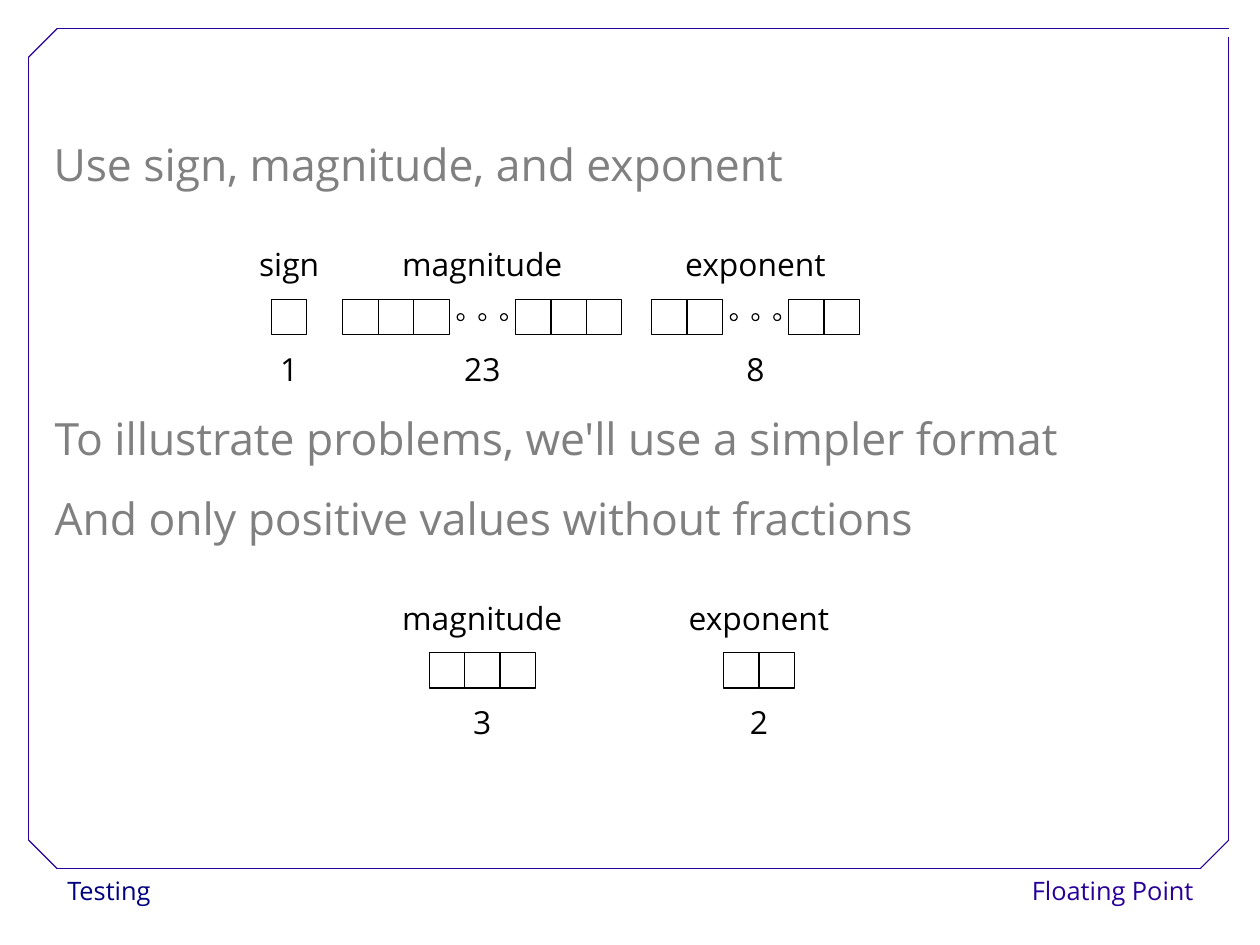
from itertools import pairwise
from pptx import Presentation
from pptx import util as u
from pptx.dml.color import RGBColor
from pptx.enum import shapes, text
from pptx.oxml import parse_xml
from pptx.oxml.ns import nsdecls

FONT, INK, GREY, BLUE, NAVY = "Open Sans", "000000", "808080", "280099", "000080"
WIDE, HIGH = u.Cm(28), u.Cm(21)
CELL, GAP, DOT, STEP = 0.31, 0.58, 0.06, 0.19
EDGE, CUT, RIGHT, BASE = 0.25, 0.5, 10.75, 7.6
LEFT, MID, END = text.PP_ALIGN.LEFT, text.PP_ALIGN.CENTER, text.PP_ALIGN.RIGHT
BOX, RING = shapes.MSO_SHAPE.RECTANGLE, shapes.MSO_SHAPE.OVAL

POINTS = [
    (RIGHT, 0.32), (RIGHT, BASE - EDGE), (RIGHT - EDGE, BASE), (CUT, BASE),
    (EDGE, BASE - EDGE), (EDGE, CUT), (CUT, EDGE), (RIGHT, EDGE),
]
FOOT = [("Testing", 0.49, LEFT, NAVY), ("Floating Point", 8.39, END, BLUE)]
BODY = [
    (0.37, 0.92, 7.7, 0.8, ["Use sign, magnitude, and exponent"]),
    (0.38, 3.31, 10.1, 1.5,
     ["To illustrate problems, we'll use a simpler format",
      "And only positive values without fractions"]),
]
ROWS = [
    (2.62, [("sign", "1", 2.53, [1]),
            ("magnitude", "23", 4.22, [3, 3]),
            ("exponent", "8", 6.61, [2, 2])]),
    (5.71, [("magnitude", "3", 4.22, [3]),
            ("exponent", "2", 6.64, [2])]),
]


def tint(code):
    """Turn a hex string into a colour."""
    return RGBColor.from_string(code)


def write(tree, lines, at, size, color, align, space=1.5):
    """Place a text box with one paragraph for each line."""
    frame = tree.add_textbox(*map(u.Inches, at)).text_frame
    frame.word_wrap = True
    for i, line in enumerate(lines):
        para = frame.add_paragraph() if i else frame.paragraphs[0]
        para.alignment, para.line_spacing = align, space
        run = para.add_run()
        run.text = line
        run.font.name, run.font.size = FONT, u.Pt(size)
        run.font.color.rgb = tint(color)


def outline(tree, kind, x, y, side):
    """Draw an unfilled square or circle."""
    form = tree.add_shape(kind, *map(u.Inches, (x, y, side, side)))
    form.shadow.inherit = False
    form.fill.background()
    form.line.color.rgb, form.line.width = tint(INK), u.Pt(0.75)


def border(tree):
    """Draw the frame with cut corners."""
    for start, stop in pairwise(POINTS):
        line = tree.add_connector(
            shapes.MSO_CONNECTOR.STRAIGHT, *map(u.Inches, start + stop))
        line.line.color.rgb, line.line.width = tint(BLUE), u.Pt(0.75)
        line._element.spPr.append(parse_xml(f"<a:effectLst {nsdecls('a')}/>"))


def field(tree, top, name, bits, mid, runs):
    """Draw one field of bits with its name and its bit count."""
    x = mid - (sum(runs) * CELL + (len(runs) - 1) * GAP) / 2
    for count in runs:
        for i in range(count):
            outline(tree, BOX, x + i * CELL, top, CELL)
        x += count * CELL + GAP
    if len(runs) > 1:
        for i in (-1, 0, 1):
            outline(tree, RING, mid + i * STEP - DOT / 2,
                    top + (CELL - DOT) / 2, DOT)
    for word, shift in ((name, -0.69), (bits, 0.22)):
        write(tree, [word], (mid - 0.9, top + shift, 1.8, 0.6), 20, INK, MID)


def main():
    """Build the slide and save it."""
    deck = Presentation()
    deck.slide_width, deck.slide_height = WIDE, HIGH
    tree = deck.slides.add_slide(deck.slide_layouts[6]).shapes
    for word, x, align, color in FOOT:
        write(tree, [word], (x, BASE, 2.15, 0.4), 16, color, align, 1.02)
    border(tree)
    for x, top, wide, high, lines in BODY:
        write(tree, lines, (x, top, wide, high), 28, GREY, LEFT)
    for top, fields in ROWS:
        for item in fields:
            field(tree, top, *item)
    deck.save("out.pptx")


if __name__ == "__main__":
    main()
